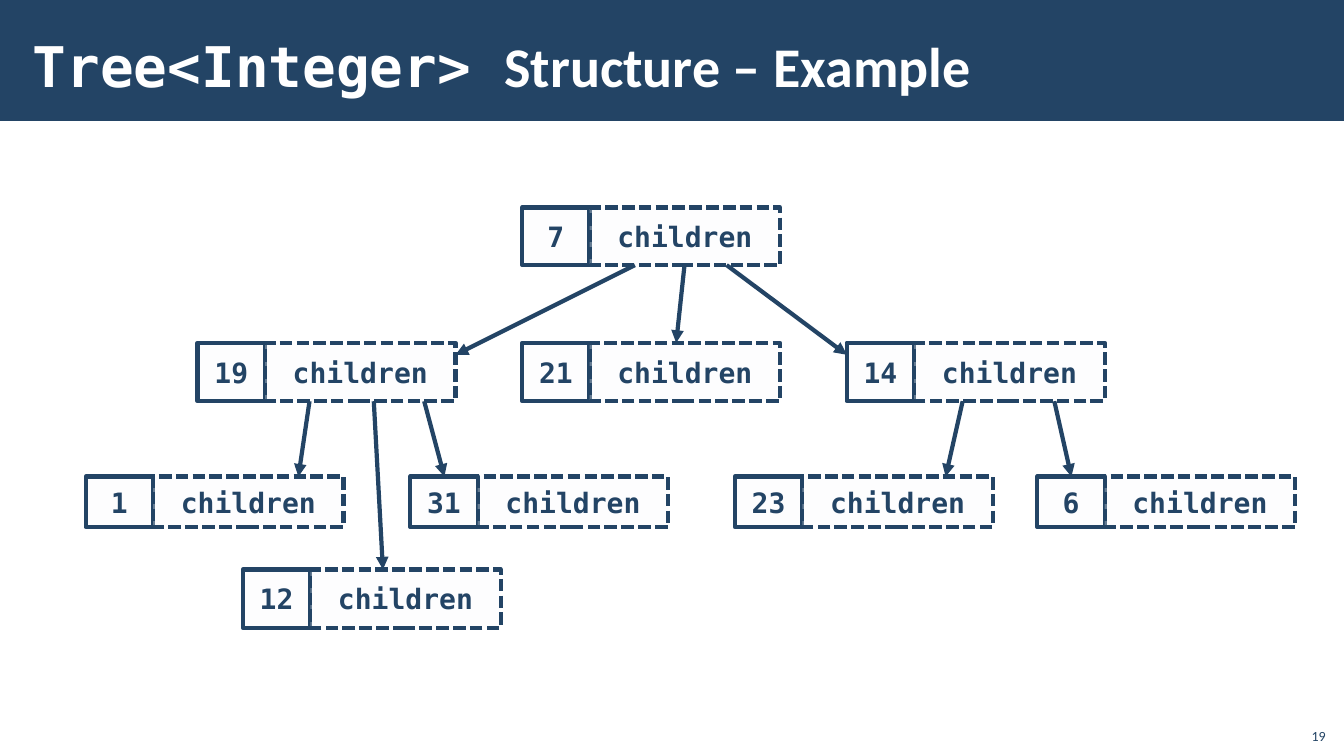
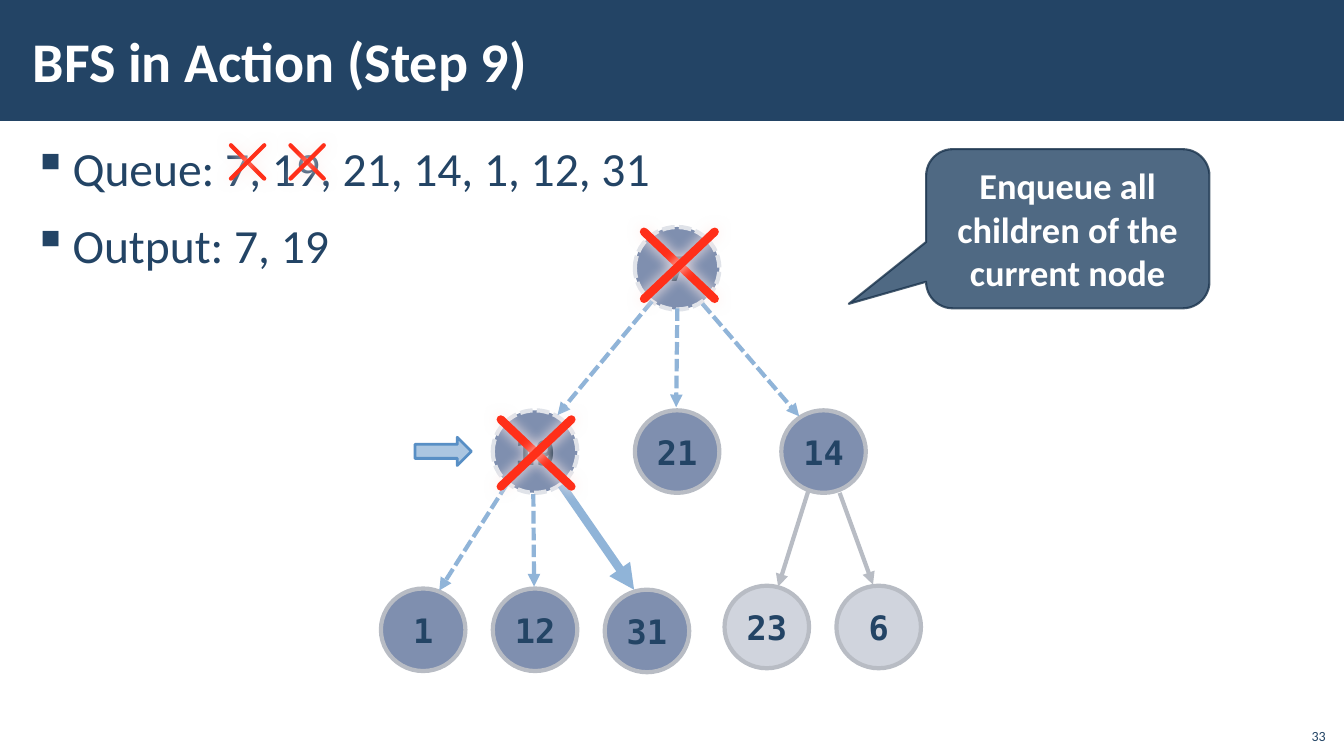
from dataclasses import dataclass

from lxml.etree import SubElement
from pptx import Presentation
from pptx.dml.color import RGBColor
from pptx.enum.dml import MSO_LINE
from pptx.enum.shapes import MSO_CONNECTOR, MSO_SHAPE
from pptx.enum.text import MSO_ANCHOR as Anchor, PP_ALIGN as Align
from pptx.oxml.ns import qn
from pptx.util import Cm, Pt


@dataclass(frozen=True)
class Theme:
    # Colours
    navy: str = "234465"
    dark: str = "1A334C"
    white: str = "FFFFFF"
    box: str = "FBFBFC"
    queued: str = "002060"
    visited: str = "7F8FAF"
    waiting: str = "A3ABBC"
    outline: str = "B8BCC4"
    faded: str = "E0E3E9"
    edge: str = "90B4D8"
    pointer: str = "588FC5"
    cross: str = "FF2F19"
    glow: str = "FFEDEB"
    # Fonts and type sizes
    sans: str = "Calibri"
    mono: str = "DejaVu Sans Mono"
    title: int = 40
    body: int = 34
    callout: int = 26
    circle: int = 24
    node: int = 20
    footer: int = 10


THEME = Theme()
THICK, THIN = 6, 3


def write(paragraph, text, *, font=THEME.sans, size=THEME.body,
          color=THEME.navy, bold=False, align=None):
    """Append one formatted run to a paragraph."""
    paragraph.alignment = align
    run = paragraph.add_run()
    run.text = text
    run.font.name, run.font.size, run.font.bold = font, Pt(size), bold
    run.font.color.rgb = RGBColor.from_string(color)


def set_opacity(parent, percent):
    color = parent.find(qn("a:solidFill"))[0]
    SubElement(color, qn("a:alpha"), val=str(percent * 1000))


def set_line(line, color, width, dashed=False):
    line.color.rgb = RGBColor.from_string(color)
    line.width = Pt(width)
    if dashed:
        line.dash_style = MSO_LINE.SQUARE_DOT


class Deck:
    def __init__(self):
        self.presentation = Presentation()
        self.presentation.slide_width = Cm(33.87)
        self.presentation.slide_height = Cm(19.05)
        self.slide = None

    def new_slide(self, number):
        """Start a slide with the title band and the page number."""
        layout = self.presentation.slide_layouts[6]
        self.slide = self.presentation.slides.add_slide(layout)
        self.shape(MSO_SHAPE.RECTANGLE, 0, 0, 33.87, 3.05, fill=THEME.navy)
        frame = self.text_frame(32.64, 18.08, 1.02, 0.81, Anchor.BOTTOM)
        write(frame.paragraphs[0], str(number), size=THEME.footer, align=Align.RIGHT)

    def text_frame(self, left, top, width, height, anchor, insets=None):
        box = self.slide.shapes.add_textbox(Cm(left), Cm(top), Cm(width), Cm(height))
        frame = box.text_frame
        frame.word_wrap, frame.vertical_anchor = True, anchor
        if insets:
            frame.margin_left = frame.margin_right = Cm(insets[0])
            frame.margin_top = frame.margin_bottom = Cm(insets[1])
        return frame

    def title(self, top, height, *runs):
        frame = self.text_frame(0.53, top, 27, height, Anchor.MIDDLE, (0.3, 0.1))
        for text, font in runs:
            write(frame.paragraphs[0], text, font=font, size=THEME.title,
                  color=THEME.white, bold=True)

    def bullets(self, *lines):
        frame = self.text_frame(0.53, 3.33, 32.82, 15.37, Anchor.TOP, (0.3, 0.1))
        for index, text in enumerate(lines):
            paragraph = frame.add_paragraph() if index else frame.paragraphs[0]
            write(paragraph, text)
            paragraph.line_spacing = 1.05
            paragraph.space_before = paragraph.space_after = Pt(6)
            properties = paragraph._p.get_or_add_pPr()
            properties.set("marL", str(Cm(1)))
            properties.set("indent", str(-Cm(1)))
            SubElement(properties, qn("a:buChar"), char="▪")

    def shape(self, kind, left, top, width, height, *, fill, opacity=100,
              line=None, line_width=THIN, dashed=False):
        shape = self.slide.shapes.add_shape(kind, Cm(left), Cm(top), Cm(width), Cm(height))
        shape.shadow.inherit = False
        shape.fill.solid()
        shape.fill.fore_color.rgb = RGBColor.from_string(fill)
        if opacity < 100:
            set_opacity(shape._element.spPr, opacity)
        if line:
            set_line(shape.line, line, line_width, dashed)
        else:
            shape.line.fill.background()
        return shape

    def label(self, shape, text, wrap=False, **style):
        frame = shape.text_frame
        frame.word_wrap, frame.vertical_anchor = wrap, Anchor.MIDDLE
        write(frame.paragraphs[0], text, bold=True, align=Align.CENTER, **style)

    def box(self, text, left, top, width, height, dashed=False):
        shape = self.shape(MSO_SHAPE.RECTANGLE, left, top, width, height, fill=THEME.box,
                           opacity=30, line=THEME.navy, dashed=dashed)
        self.label(shape, text, font=THEME.mono, size=THEME.node)

    def circle(self, text, left, top, color=THEME.navy, **style):
        shape = self.shape(MSO_SHAPE.OVAL, left, top, 2.13, 2.08, **style)
        self.label(shape, text, font=THEME.mono, size=THEME.circle, color=color)

    def callout(self, text, left, top, width, height):
        shape = self.shape(MSO_SHAPE.ROUNDED_RECTANGULAR_CALLOUT, left, top, width, height,
                           fill=THEME.navy, opacity=80, line=THEME.dark, line_width=1.5)
        for index, value in enumerate((-0.773, 0.472, 0.167)):
            shape.adjustments[index] = value
        set_opacity(shape._element.spPr.find(qn("a:ln")), 80)
        self.label(shape, text, wrap=True, size=THEME.callout, color=THEME.white)

    def connect(self, start, end, color, width=THIN, dashed=False):
        """Draw a plain line; return its outline and effect elements."""
        points = [Cm(value) for value in (*start, *end)]
        connector = self.slide.shapes.add_connector(MSO_CONNECTOR.STRAIGHT, *points)
        set_line(connector.line, color, width, dashed)
        properties = connector._element.spPr
        return properties.find(qn("a:ln")), SubElement(properties, qn("a:effectLst"))

    def arrow(self, start, end, color, **style):
        outline, _ = self.connect(start, end, color, **style)
        SubElement(outline, qn("a:tailEnd"), type="triangle")

    def cross(self, left, top, width, height, weight):
        """Strike something out with two glowing diagonals."""
        right, bottom = left + width, top + height
        for start, end in (((left, top), (right, bottom)), ((right, top), (left, bottom))):
            outline, effects = self.connect(start, end, THEME.cross, weight)
            outline.set("cap", "rnd")
            glow = SubElement(effects, qn("a:outerShdw"), blurRad=str(Pt(10)), dist="0",
                              dir="5400000", algn="ctr", rotWithShape="0")
            SubElement(glow, qn("a:srgbClr"), val=THEME.glow)


def structure_slide(deck):
    deck.new_slide(19)
    deck.title(0.1, 3.07, ("Tree<Integer> ", THEME.mono), ("Structure – Example", THEME.sans))

    # Nodes: left, top, height
    value_width, children_width = 1.7, 4.8
    column, step = 13.16, 8.18
    leaf, leaf_top = 2.16, 12.01
    nodes = {
        "7": (column, 5.23, 1.45),
        "19": (column - step, 8.64, 1.47),
        "21": (column, 8.64, 1.47),
        "14": (column + step, 8.64, 1.47),
        "1": (leaf, leaf_top, 1.27),
        "12": (6.12, 14.35, 1.47),
        "31": (leaf + step, leaf_top, 1.27),
        "23": (leaf + 2 * step, leaf_top, 1.27),
        "6": (26.14, leaf_top, 1.27),
    }
    for value, (left, top, height) in nodes.items():
        deck.box(value, left, top, value_width, height)
        deck.box("children", left + value_width, top, children_width, height, dashed=True)

    # Edges: parent, child, offset along parent, offset along child, drop below child's top
    edges = [
        ("7", "19", 2.84, 6.5, 0.3), ("7", "21", 4.09, 3.88, 0), ("7", "14", 5.15, 0, 0.3),
        ("19", "1", 2.82, 5.36, 0), ("19", "12", 4.44, 3.53, 0), ("19", "31", 5.71, 0.86, 0),
        ("14", "23", 2.92, 5.31, 0), ("14", "6", 5.23, 0.86, 0),
    ]
    for parent, child, start, end, drop in edges:
        left, top, height = nodes[parent]
        child_left, child_top, _ = nodes[child]
        deck.arrow((left + start, top + height), (child_left + end, child_top + drop), THEME.navy)


def search_slide(deck):
    deck.new_slide(33)
    deck.bullets("Queue: 7, 19, 21, 14, 1, 12, 31", "Output: 7, 19")
    deck.title(0.28, 2.46, ("BFS in Action (Step 9)", THEME.sans))

    # Nodes by state
    visited = dict(fill=THEME.visited, line=THEME.faded, dashed=True, color=THEME.dark)
    queued = dict(fill=THEME.queued, opacity=50, line=THEME.outline)
    waiting = dict(fill=THEME.waiting, opacity=50, line=THEME.outline)
    circles = [
        ("7", 16, 5.72, visited), ("19", 12.42, 10.34, visited),
        ("21", 16, 10.34, queued), ("14", 19.69, 10.34, queued),
        ("1", 9.6, 14.83, queued), ("12", 12.42, 14.83, queued), ("31", 15.24, 14.86, queued),
        ("23", 18.26, 14.76, waiting), ("6", 21.08, 14.76, waiting),
    ]
    for value, left, top, state in circles:
        deck.circle(value, left, top, **state)

    # Edges by state
    walked = dict(color=THEME.edge, dashed=True)
    current = dict(color=THEME.edge, width=THICK)
    unwalked = dict(color=THEME.outline)
    edges = [
        ((16.43, 7.59), (14.05, 10.46), walked),
        ((17.07, 7.77), (17.04, 10.26), walked),
        ((17.7, 7.65), (20.14, 10.49), walked),
        ((12.78, 12.19), (11.07, 14.88), walked),
        ((13.44, 12.45), (13.46, 14.78), walked),
        ((14.15, 12.22), (15.98, 14.86), current),
        ((20.37, 12.37), (19.61, 14.78), unwalked),
        ((21.16, 12.42), (22, 14.73), unwalked),
    ]
    for start, end, state in edges:
        deck.arrow(start, end, **state)

    # Crosses over the dequeued numbers and visited nodes
    for left in (5.82, 7.32):
        deck.cross(left, 3.66, 0.84, 0.84, THIN)
    for left, top in ((16.23, 5.84), (12.62, 10.57)):
        deck.cross(left, top, 1.78, 1.69, THICK)

    # Current node pointer and explanation
    deck.shape(MSO_SHAPE.RIGHT_ARROW, 10.46, 11.02, 1.42, 0.71, fill=THEME.pointer,
               opacity=50, line=THEME.pointer, line_width=2)
    deck.callout("Enqueue all children of the current node", 23.34, 3.76, 7.14, 4.01)


def main():
    deck = Deck()
    structure_slide(deck)
    search_slide(deck)
    deck.presentation.save("out.pptx")


if __name__ == "__main__":
    main()
